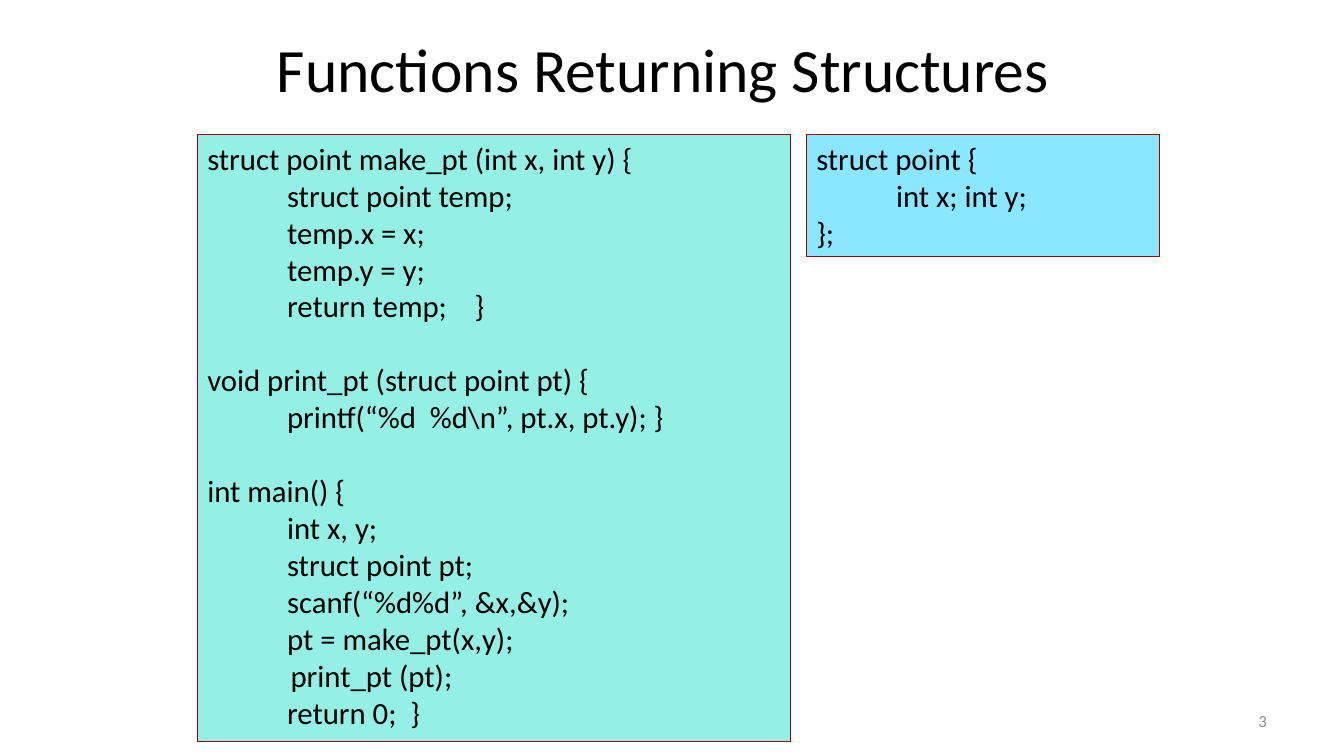
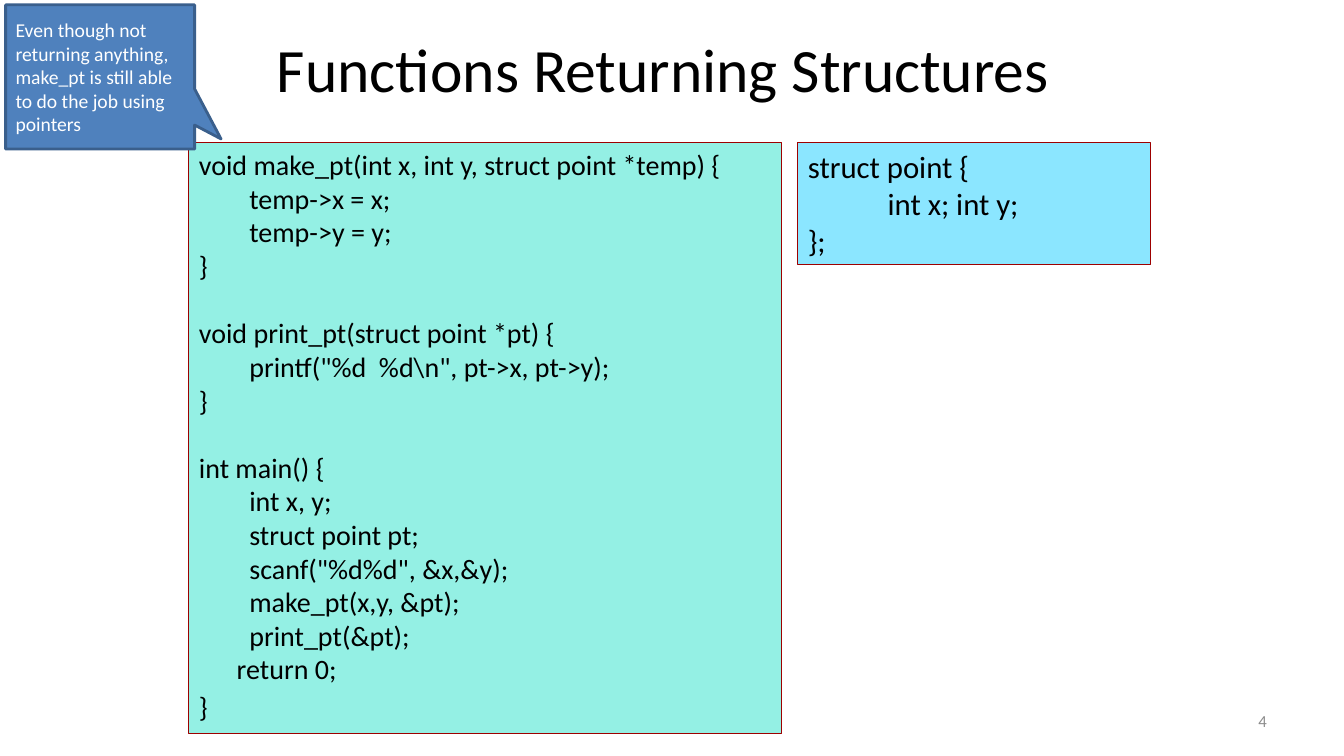
import pptx
import pptx.util
import pptx.dml.color
import pptx.enum.shapes
import pptx.enum.text

Pt = pptx.util.Pt
Shape = pptx.enum.shapes.MSO_SHAPE
Align = pptx.enum.text.PP_ALIGN
Anchor = pptx.enum.text.MSO_ANCHOR


class Deck:
    font = "Calibri"
    hues = {
        "ink": "000000",
        "code": "94F0E4",
        "type": "8BE6FF",
        "edge": "9D0000",
        "note": "4F81BD",
        "rim": "3A5F8C",
        "pale": "FFFFFF",
        "gray": "8C8C8C",
    }

    def __init__(self):
        self.show = pptx.Presentation()
        self.show.slide_width = Pt(960)
        self.show.slide_height = Pt(540)
        self.slide = None

    def hue(self, name):
        return pptx.dml.color.RGBColor.from_string(self.hues[name])

    def start(self, title, number):
        self.slide = self.show.slides.add_slide(self.show.slide_layouts[5])
        head = self.slide.shapes.title
        head.left, head.top, head.width, head.height = Pt(174), Pt(18), Pt(600), Pt(60.5)
        self.label(head, [(title,)], 44, align=Align.CENTER, anchor=Anchor.MIDDLE)
        foot = self.slide.shapes.add_textbox(Pt(688), Pt(500.5), Pt(224), Pt(28.8))
        self.label(foot, [(str(number),)], 12, "gray", Align.RIGHT, Anchor.MIDDLE)

    def label(self, shape, lines, size, ink="ink", align=Align.LEFT, anchor=Anchor.TOP):
        frame = shape.text_frame
        frame.word_wrap = True
        frame.auto_size = pptx.enum.text.MSO_AUTO_SIZE.NONE
        frame.vertical_anchor = anchor
        frame.text = "\n".join(line[0] for line in lines)
        for para, (text, *rest) in zip(frame.paragraphs, lines):
            dent, gap = (rest + [0, 0])[:2]
            para.alignment = align
            para.space_before = Pt(gap)
            para.font.name = self.font
            para.font.size = Pt(size)
            para.font.color.rgb = self.hue(ink)
            if dent:
                props = para._p.get_or_add_pPr()
                props.set("marL", str(Pt(dent)))
                props.set("indent", "0")

    def shape(self, kind, area, fill, edge, width):
        shape = self.slide.shapes.add_shape(kind, *map(Pt, area))
        shape.shadow.inherit = False
        shape.fill.solid()
        shape.fill.fore_color.rgb = self.hue(fill)
        shape.line.color.rgb = self.hue(edge)
        shape.line.width = Pt(width)
        return shape

    def panel(self, area, fill, lines, size):
        box = self.shape(Shape.RECTANGLE, area, fill, "edge", 0.75)
        self.label(box, lines, size)

    def pair(self, left, top, height, lines, size):
        self.panel((left + 435, top, 252, 87), "type", POINT, 22)
        self.panel((left, top, 423.5, height), "code", lines, size)

    def note(self, area, text, tip):
        box = self.shape(Shape.RECTANGULAR_CALLOUT, area, "note", "rim", 2)
        box.adjustments[0], box.adjustments[1] = tip
        self.label(box, [(text,)], 14, "pale", anchor=Anchor.MIDDLE)


TITLE = "Functions Returning Structures"
WIDE, SLIM = 57, 36
POINT = [("struct point {",), ("int x; int y;", WIDE), ("};",)]
VALUE = [
    ("struct point make_pt (int x, int y) {",),
    ("struct point temp;", WIDE),
    ("temp.x = x;", WIDE),
    ("temp.y = y;", WIDE),
    ("return temp;    }", WIDE),
    ("void print_pt (struct point pt) {", 0, 26.4),
    ("printf(“%d  %d\\n”, pt.x, pt.y); }", WIDE),
    ("int main() {", 0, 26.4),
    ("int x, y;", WIDE),
    ("struct point pt;", WIDE),
    ("scanf(“%d%d”, &x,&y);", WIDE),
    ("pt = make_pt(x,y);", WIDE),
    ("print_pt (pt);", 59.5),
    ("return 0;  }", WIDE),
]
ADDRESS = [
    ("void make_pt(int x, int y, struct point *temp) {",),
    ("temp->x = x;", SLIM),
    ("temp->y = y;", SLIM),
    ("}",),
    ("void print_pt(struct point *pt) {", 0, 24),
    ('printf("%d  %d\\n", pt->x, pt->y);', SLIM),
    ("}",),
    ("int main() {", 0, 24),
    ("int x, y;", SLIM),
    ("struct point pt;", SLIM),
    ('scanf("%d%d", &x,&y);', SLIM),
    ("make_pt(x,y, &pt);", SLIM),
    ("print_pt(&pt);", SLIM),
    ("return 0;", 27),
    ("}", 0, 2.5),
]


def main():
    deck = Deck()
    deck.start(TITLE, 3)
    deck.pair(141, 96, 433.5, VALUE, 22)
    deck.start(TITLE, 4)
    deck.pair(135, 102, 422, ADDRESS, 20)
    deck.note(
        (4, 3.5, 135, 103),
        "Even though not returning anything, make_pt is still able to do the job using pointers",
        (0.64, 0.43),
    )
    deck.show.save("out.pptx")


if __name__ == "__main__":
    main()
